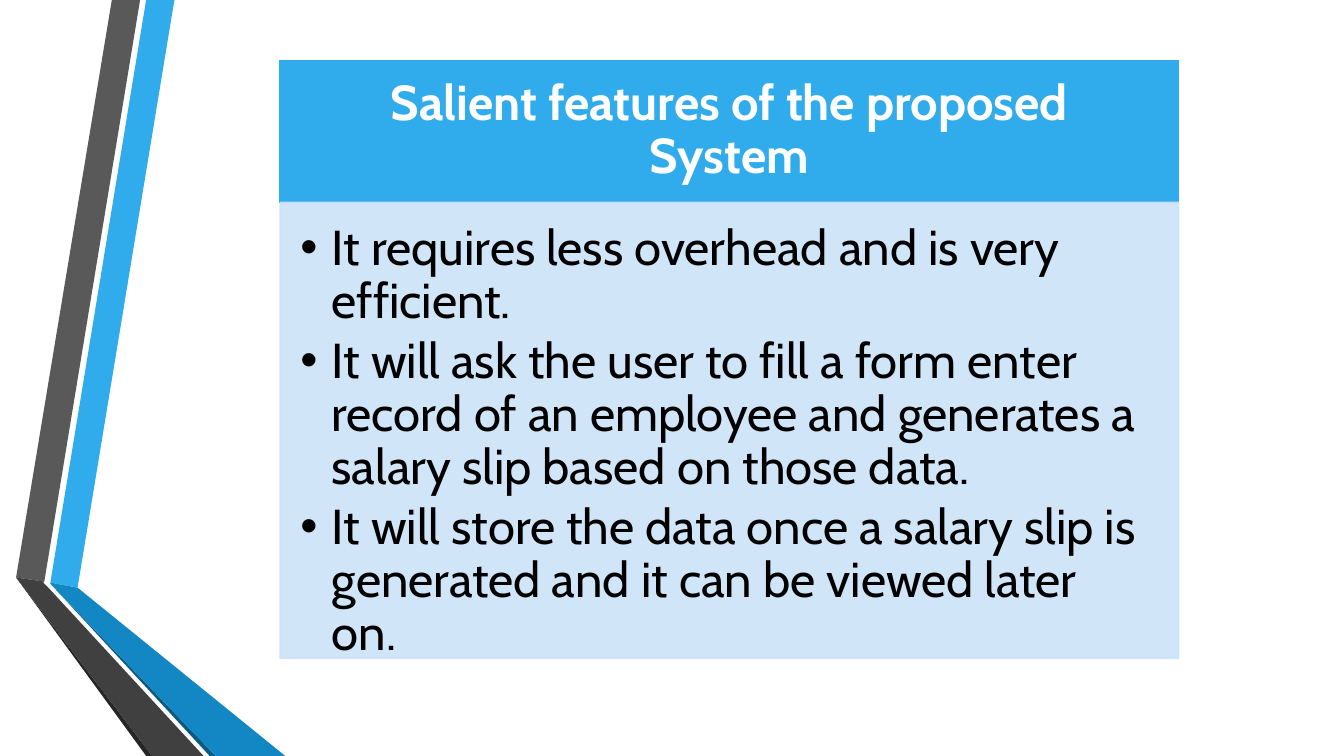
from pptx import Presentation
from pptx.dml.color import RGBColor
from pptx.enum.text import MSO_ANCHOR, MSO_AUTO_SIZE, PP_ALIGN
from pptx.oxml.ns import qn
from pptx.util import Inches, Pt
from lxml import etree

MIDDLE, TOP = MSO_ANCHOR.MIDDLE, MSO_ANCHOR.TOP
CENTER, LEFT = PP_ALIGN.CENTER, PP_ALIGN.LEFT
NO_AUTOFIT = MSO_AUTO_SIZE.NONE
FONT = "Cabin"
TEXT_SIZE = 35
COLORS = {
    "blue": "30ACEC", "blue_mid": "1287C3", "blue_dark": "0C5A82",
    "gray": "595959", "gray_mid": "404040", "gray_dark": "262626",
    "panel": "CDE3F8", "white": "FFFFFF", "black": "000000",
}
RIBBON_FACETS = [
    ("blue", [(0.34, 5.78), (0.61, 5.83), (1.57, 0), (1.29, 0)]),
    ("gray", [(1.23, 0), (0.95, 0), (0, 5.73), (0.28, 5.77)]),
    ("gray_dark", [(0, 5.73), (1.29, 7.5), (1.35, 7.5)]),
    ("blue_dark", [(0.34, 5.79), (1.92, 7.5), (1.98, 7.5)]),
    ("blue_mid", [(0.34, 5.79), (1.98, 7.5), (2.67, 7.5), (0.61, 5.83), (0.34, 5.78)]),
    ("gray_mid", [(1.86, 7.5), (0.32, 5.83), (0.27, 5.78), (0.28, 5.77), (0, 5.73), (1.35, 7.5)]),
]
HEADING = "Salient features of the proposed System"
FEATURES = [
    "It requires less overhead and is very efficient.",
    "It will ask the user to fill a form enter record of an employee and "
    "generates a salary slip based on those data.",
    "It will store the data once a salary slip is generated and it can be viewed later on.",
]


def color(name):
    return RGBColor.from_string(COLORS[name])


def draw_ribbons(page, box):
    left, top = box
    for fill_name, corners in RIBBON_FACETS:
        points = [(Inches(left + x), Inches(top + y)) for x, y in corners]
        builder = page.shapes.build_freeform(*points[0])
        builder.add_line_segments(points[1:], close=True)
        facet = builder.convert_to_shape()
        facet.shadow.inherit = False
        facet.fill.solid()
        facet.fill.fore_color.rgb = color(fill_name)
        facet.line.fill.background()


def format_panel(panel, box, fill_name, insets, anchor):
    panel.left, panel.top, panel.width, panel.height = map(Inches, box)
    panel.fill.solid()
    panel.fill.fore_color.rgb = color(fill_name)
    panel.line.color.rgb = color(fill_name)
    panel.line.width = Pt(1.25)
    frame = panel.text_frame
    frame.word_wrap = True
    frame.auto_size = NO_AUTOFIT
    frame.vertical_anchor = anchor
    (frame.margin_left, frame.margin_top,
     frame.margin_right, frame.margin_bottom) = map(Inches, insets)


def write_paragraph(para, text, color_name, align, after, bold=False):
    para.alignment = align
    para.line_spacing = 0.9
    para.space_before = Pt(0)
    para.space_after = Pt(after)
    span = para.add_run()
    span.text = text
    span.font.name = FONT
    span.font.size = Pt(TEXT_SIZE)
    span.font.bold = bold
    span.font.color.rgb = color(color_name)


def set_bullet(para, indent):
    properties = para._p.get_or_add_pPr()
    properties.set("marL", str(Inches(indent)))
    properties.set("indent", str(-Inches(indent)))
    etree.SubElement(properties, qn("a:buChar")).set("char", "•")


def set_opacity(panel, percent):
    for shade in panel._element.spPr.iter(qn("a:srgbClr")):
        etree.SubElement(shade, qn("a:alpha")).set("val", str(percent * 1000))


def fill_features(page, box, heading_height):
    left, top, width, height = box
    heading = page.shapes.title
    format_panel(heading, (left, top, width, heading_height), "blue",
                 (0.27, 0.16, 0.27, 0.16), MIDDLE)
    write_paragraph(heading.text_frame.paragraphs[0], HEADING, "white", CENTER, 0, True)

    body = page.placeholders[1]
    format_panel(body, (left, top + heading_height, width, height - heading_height),
                 "panel", (0.2, 0.2, 0.27, 0.31), TOP)
    set_opacity(body, 90)
    frame = body.text_frame
    for index, feature in enumerate(FEATURES):
        para = frame.add_paragraph() if index else frame.paragraphs[0]
        write_paragraph(para, feature, "black", LEFT, 5.25)
        set_bullet(para, 0.31)


deck = Presentation()
deck.slide_width, deck.slide_height = Inches(13.33), Inches(7.5)
slide = deck.slides.add_slide(deck.slide_layouts[1])
draw_ribbons(slide, (0.16, 0))
fill_features(slide, (2.78, 0.6, 8.91, 5.93), 1.41)
deck.save("out.pptx")
